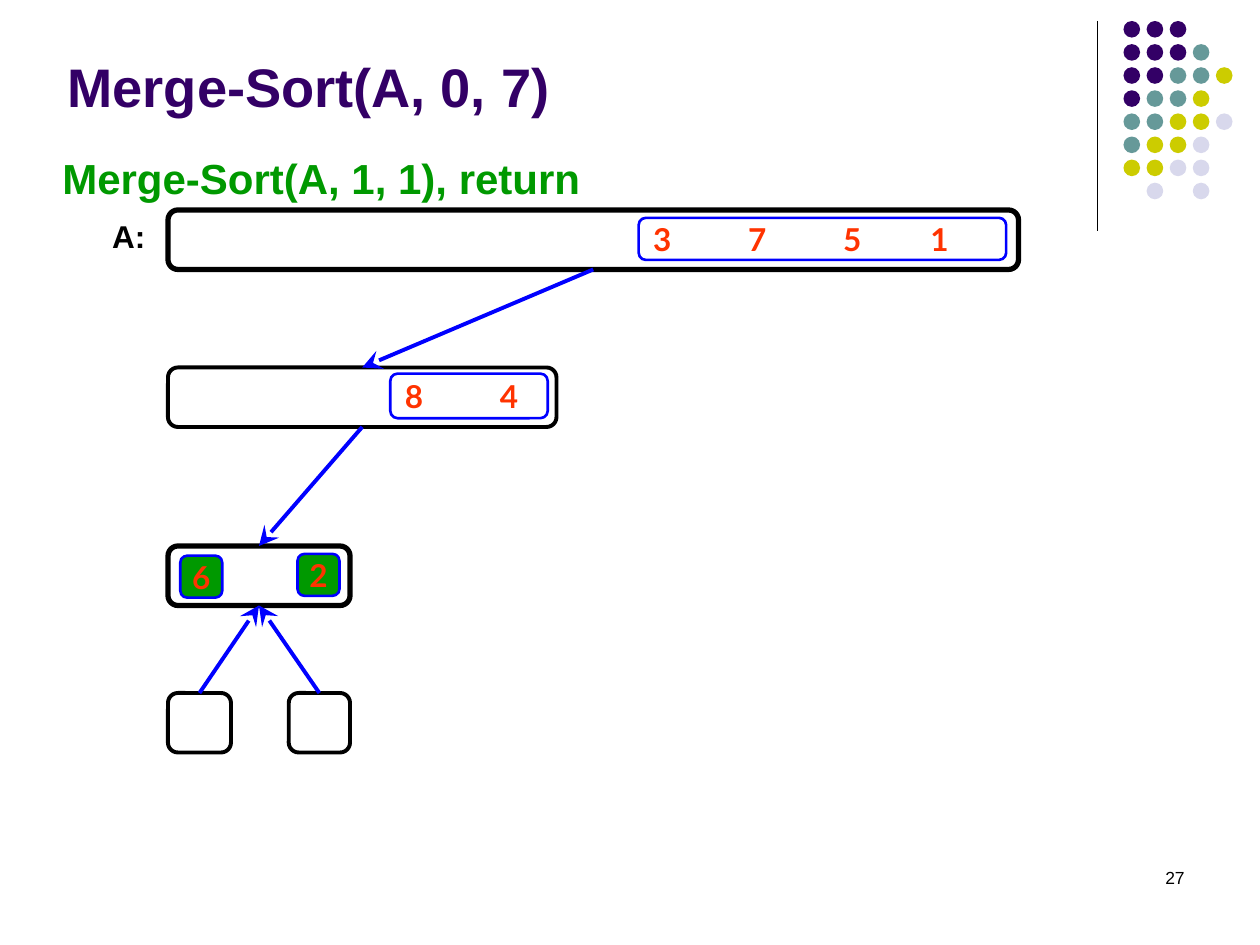
from lxml import etree
from pptx import Presentation
from pptx.dml.color import RGBColor
from pptx.enum import shapes, text
from pptx.oxml import ns
from pptx.util import Pt

COLORS = {
    "purple": "330066", "teal": "669999", "olive": "CCCC00", "lavender": "D8D8EC",
    "black": "000000", "blue": "0000FF", "green": "009900", "red": "FF3300",
}
DOT_COLORS = {"P": "purple", "T": "teal", "O": "olive", "L": "lavender"}
DOT_ROWS = ["PPP", "PPPT", "PPTTO", "PTTO", "TTOOL", "TOOL", "OOLL", " L L"]
DOT_LEFT, DOT_TOP, DOT_PITCH, DOT_SIZE = 642, 12, 13.2, 9.5

TOP, BOTTOM = 0, 2  # connection sites
ROW_HEIGHT = 34
DIGIT = {"size": Pt(18), "name": "Lato", "bold": True}


def rgb(name):
    return RGBColor.from_string(COLORS[name])


def set_all(target, values):
    for name, value in values.items():
        setattr(target, name, value)


def add_element(parent, tag, **attributes):
    return etree.SubElement(parent, ns.qn(tag), attributes)


def write(shape, content, color, font, align=text.PP_ALIGN.LEFT,
          anchor=text.MSO_ANCHOR.TOP, wrap=True, tabs=()):
    frame = shape.text_frame
    set_all(frame, {"word_wrap": wrap, "vertical_anchor": anchor})
    paragraph = frame.paragraphs[0]
    paragraph.alignment = align
    if tabs:
        tab_list = add_element(paragraph._p.get_or_add_pPr(), "a:tabLst")
        for position in tabs:
            add_element(tab_list, "a:tab", pos=str(Pt(position)), algn="l")
    run = paragraph.add_run()
    run.text = content
    set_all(run.font, font)
    run.font.color.rgb = rgb(color)


def add_label(slide, box, content, color, font, **layout):
    shape = slide.shapes.add_textbox(*map(Pt, box))
    write(shape, content, color, font, **layout)


def add_shape(slide, kind, box, fill=None, line=None, width=0):
    shape = slide.shapes.add_shape(kind, *map(Pt, box))
    shape.shadow.inherit = False
    if fill:
        shape.fill.solid()
        shape.fill.fore_color.rgb = rgb(fill)
    else:
        shape.fill.background()
    if line:
        shape.line.color.rgb = rgb(line)
        shape.line.width = Pt(width)
    else:
        shape.line.fill.background()
    return shape


def add_box(slide, box, line="black", width=2.25, fill=None):
    return add_shape(slide, shapes.MSO_SHAPE.ROUNDED_RECTANGLE, box, fill, line, width)


def add_values(slide, box, content, fill=None, **layout):
    shape = add_box(slide, box, "blue", 1.5, fill)
    write(shape, content, "red", DIGIT, anchor=text.MSO_ANCHOR.MIDDLE, **layout)


def add_line(slide, color, width, points=(0, 0, 0, 0)):
    line = slide.shapes.add_connector(shapes.MSO_CONNECTOR.STRAIGHT, *map(Pt, points))
    line.line.color.rgb = rgb(color)
    line.line.width = Pt(width)
    add_element(line._element.spPr, "a:effectLst")
    return line


def add_arrow(slide, source, source_site, target, target_site):
    arrow = add_line(slide, "blue", 2.25)
    arrow.begin_connect(source, source_site)
    arrow.end_connect(target, target_site)
    add_element(arrow.line._get_or_add_ln(), "a:tailEnd",
                type="stealth", w="lg", len="lg")


def add_dots(slide):
    for row, codes in enumerate(DOT_ROWS):
        for column, code in enumerate(codes):
            if code in DOT_COLORS:
                box = (DOT_LEFT + column * DOT_PITCH, DOT_TOP + row * DOT_PITCH,
                       DOT_SIZE, DOT_SIZE)
                add_shape(slide, shapes.MSO_SHAPE.OVAL, box, DOT_COLORS[code])


def main():
    presentation = Presentation()
    set_all(presentation, {"slide_width": Pt(720), "slide_height": Pt(540)})
    slide = presentation.slides.add_slide(presentation.slide_layouts[6])

    # Corner decoration
    add_line(slide, "black", 0.75, (627, 12, 627, 132))
    add_dots(slide)

    # Headings and slide number
    bold = {"name": "Arial", "bold": True}
    add_label(slide, (31.5, 25, 594, 46), "Merge-Sort(A, 0, 7)", "purple",
              {**bold, "size": Pt(31)}, anchor=text.MSO_ANCHOR.BOTTOM)
    add_label(slide, (28.5, 83.5, 358, 36), "Merge-Sort(A, 1, 1), return", "green",
              {**bold, "size": Pt(24)})
    add_label(slide, (57, 120.5, 38, 29), "A:", "black",
              {**bold, "size": Pt(18)}, wrap=False)
    add_label(slide, (516, 492, 168, 36), "27", "black",
              {"name": "Arial", "size": Pt(10)}, align=text.PP_ALIGN.RIGHT)

    # Recursion levels
    whole = add_box(slide, (96, 120, 486, ROW_HEIGHT), width=3)
    half = add_box(slide, (96, 210, 222, ROW_HEIGHT))
    pair = add_box(slide, (96, 312, 104, ROW_HEIGHT), width=3)
    leaves = [add_box(slide, (left, 396, width, ROW_HEIGHT))
              for left, width in ((96, 36), (165, 35))]

    # Calls go down, returns go up
    add_arrow(slide, whole, BOTTOM, half, TOP)
    add_arrow(slide, half, BOTTOM, pair, TOP)
    for leaf in leaves:
        add_arrow(slide, leaf, TOP, pair, BOTTOM)

    # Values still waiting at each level
    add_values(slide, (365, 124.5, 210, 24), "3\t7\t5\t1", tabs=(54.3, 108.6, 158.4))
    add_values(slide, (223, 213.5, 90, 25.5), "8\t4", tabs=(54.3,))

    # Sorted single values
    for left, top, digit in ((103, 317.5, "6"), (170, 316.5, "2")):
        add_values(slide, (left, top, 24, 24), digit, "green",
                   align=text.PP_ALIGN.CENTER, wrap=False)

    presentation.save("out.pptx")


if __name__ == "__main__":
    main()
